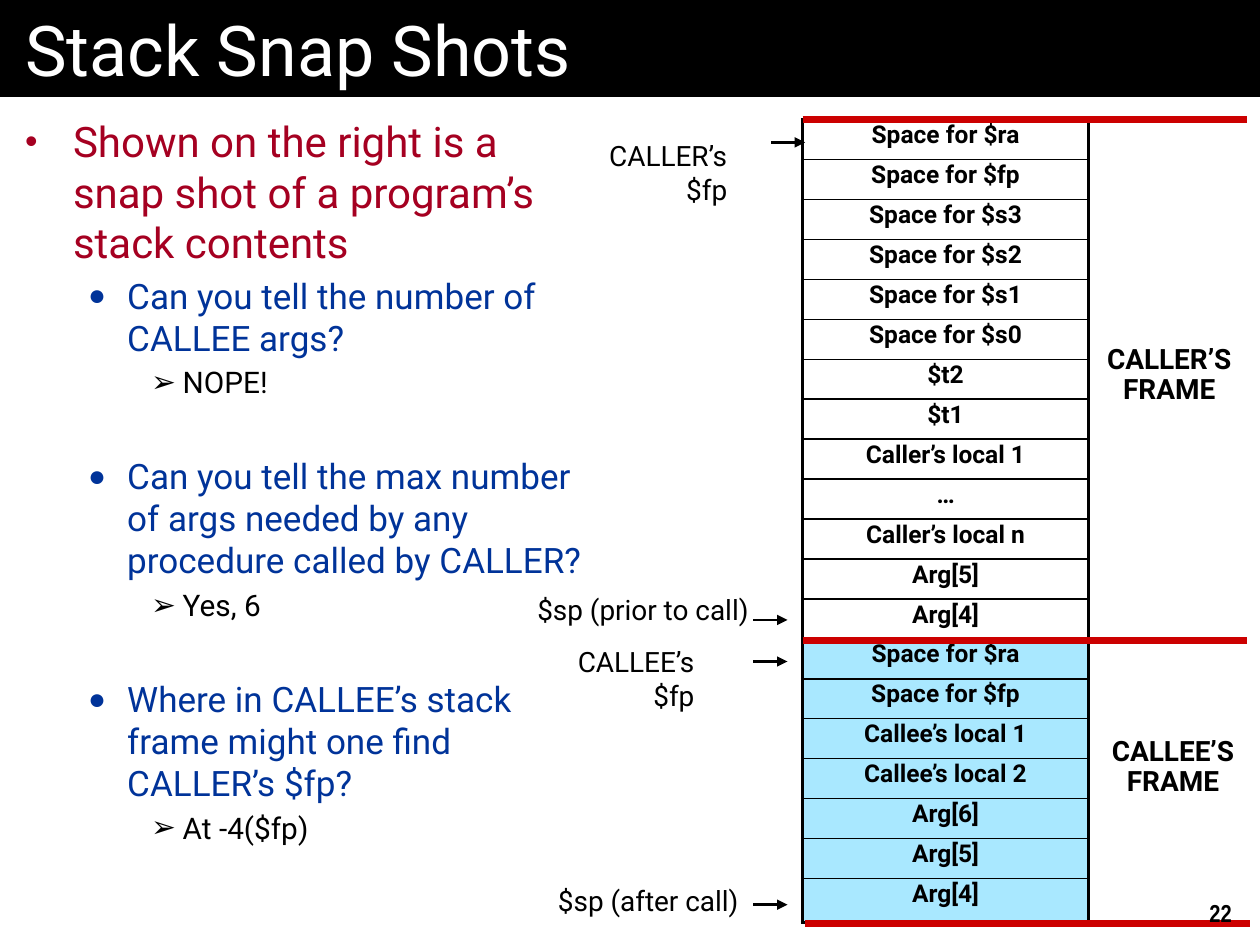
from lxml.etree import SubElement
from pptx import Presentation
from pptx.dml.color import RGBColor
from pptx.enum.shapes import MSO_CONNECTOR, MSO_SHAPE
from pptx.enum.text import MSO_ANCHOR, PP_ALIGN
from pptx.oxml.ns import qn
from pptx.util import Inches, Pt

COLORS = {
    "black": "000000",
    "white": "FFFFFF",
    "point": "A50021",
    "question": "003399",
    "callee": "A9E8FF",
    "divider": "CC0000",
}


class StackSlide:
    """Styled slide measured on a grid of 100 columns by 75 rows."""

    levels = [
        dict(size=24, color="point", left=0.38, hang=0.38, bullet="•", scale=85, gap=5),
        dict(size=20, color="question", left=0.81, hang=0.31, bullet="●", scale=85, gap=4),
        dict(size=17, color="black", left=1.25, hang=0.25, bullet="➢", scale=100, gap=3.4),
    ]

    def __init__(self, deck):
        self.column = deck.slide_width / 100
        self.row = deck.slide_height / 75
        self.slide = deck.slides.add_slide(deck.slide_layouts[6])

    def box(self, left, top, width, height):
        return (round(left * self.column), round(top * self.row),
                round(width * self.column), round(height * self.row))

    def color(self, name):
        return RGBColor.from_string(COLORS[name])

    def style(self, paragraph, size, color="black", bold=False, face="Roboto"):
        font = paragraph.font
        font.name, font.size, font.bold = face, Pt(size), bold
        font.color.rgb = self.color(color)

    def fill_text(self, frame, lines, size, align=PP_ALIGN.LEFT, spacing=None, **look):
        frame.word_wrap = True
        for index, line in enumerate(lines):
            paragraph = frame.add_paragraph() if index else frame.paragraphs[0]
            paragraph.text = line
            paragraph.alignment = align
            paragraph.line_spacing = spacing
            self.style(paragraph, size, **look)

    def title(self, text, *place):
        banner = self.slide.shapes.add_shape(MSO_SHAPE.RECTANGLE, *self.box(*place))
        banner.shadow.inherit = False
        banner.fill.solid()
        banner.fill.fore_color.rgb = self.color("black")
        banner.line.fill.background()
        frame = banner.text_frame
        frame.margin_left = frame.margin_right = Inches(0.2)
        frame.vertical_anchor = MSO_ANCHOR.MIDDLE
        self.fill_text(frame, [text], 40, color="white")

    def label(self, lines, *place, size=16, **look):
        textbox = self.slide.shapes.add_textbox(*self.box(*place))
        self.fill_text(textbox.text_frame, lines, size, **look)

    def outline(self, items, *place):
        frame = self.slide.shapes.add_textbox(*self.box(*place)).text_frame
        frame.word_wrap = True
        frame.margin_left = frame.margin_right = Inches(0.2)
        frame.margin_top = frame.margin_bottom = Inches(0.15)
        for index, (level, text, extra_gap) in enumerate(items):
            look = self.levels[level]
            paragraph = frame.add_paragraph() if index else frame.paragraphs[0]
            paragraph.text = text
            paragraph.level = level
            paragraph.space_before = Pt(look["gap"] + extra_gap)
            self.bullet(paragraph, look)
            self.style(paragraph, look["size"], look["color"])

    def bullet(self, paragraph, look):
        properties = paragraph._p.get_or_add_pPr()
        properties.set("marL", str(Inches(look["left"])))
        properties.set("indent", str(-Inches(look["hang"])))
        tint = SubElement(properties, qn("a:buClr"))
        SubElement(tint, qn("a:srgbClr"), val=COLORS[look["color"]])
        SubElement(properties, qn("a:buSzPct"), val=str(look["scale"] * 1000))
        SubElement(properties, qn("a:buFont"), typeface="Arial")
        SubElement(properties, qn("a:buChar"), char=look["bullet"])

    def stack(self, frames, left, top, width, row_height, last_height):
        words = [(text, fill) for fill, texts in frames for text in texts]
        count = len(words)
        place = self.box(left, top, width, row_height * (count - 1) + last_height)
        table = self.slide.shapes.add_table(count, 1, *place).table
        table.first_row = table.horz_banding = False
        for index, (text, fill) in enumerate(words):
            is_last = index == count - 1
            table.rows[index].height = round((last_height if is_last else row_height) * self.row)
            cell = table.cell(index, 0)
            cell.margin_left = cell.margin_right = cell.margin_bottom = 0
            cell.margin_top = Inches(0.01)
            self.fill_text(cell.text_frame, [text], 14, PP_ALIGN.CENTER, bold=True)
            self.borders(cell, L=2.25, R=2.25, T=1 if index else 2.25, B=2.25 if is_last else 1)
            cell.fill.solid()
            cell.fill.fore_color.rgb = self.color(fill)

    def borders(self, cell, **widths):
        properties = cell._tc.get_or_add_tcPr()
        for side, width in widths.items():
            border = SubElement(properties, qn(f"a:ln{side}"), w=str(Pt(width)))
            paint = SubElement(border, qn("a:solidFill"))
            SubElement(paint, qn("a:srgbClr"), val=COLORS["black"])

    def line(self, left, top, width, color="black", weight=1.5, arrow=True):
        x, y, length, _ = self.box(left, top, width, 0)
        rule = self.slide.shapes.add_connector(MSO_CONNECTOR.STRAIGHT, x, y, x + length, y)
        rule.line.width = Pt(weight)
        rule.line.color.rgb = self.color(color)
        properties = rule._element.spPr
        if arrow:
            SubElement(properties.find(qn("a:ln")), qn("a:tailEnd"), type="triangle")
        SubElement(properties, qn("a:effectLst"))


def main():
    deck = Presentation()
    deck.slide_width, deck.slide_height = Inches(10), Inches(7.5)
    page = StackSlide(deck)
    page.title("Stack Snap Shots", 0, 0, 100, 7.7)

    question_gap = 27.5
    page.outline([
        (0, "Shown on the right is a snap shot of a program’s stack contents", 0),
        (1, "Can you tell the number of CALLEE args?", 0),
        (2, "NOPE!", 0),
        (1, "Can you tell the max number of args needed by any procedure called by CALLER?",
         question_gap),
        (2, "Yes, 6", 0),
        (1, "Where in CALLEE’s stack frame might one find CALLER’s $fp?", question_gap),
        (2, "At -4($fp)", 0),
    ], 0, 7.7, 49.2, 67.3)

    saved = ["Space for $ra", "Space for $fp"]
    caller = saved + [f"Space for $s{number}" for number in (3, 2, 1, 0)] + [
        "$t2", "$t1", "Caller’s local 1", "…", "Caller’s local n", "Arg[5]", "Arg[4]"]
    callee = saved + ["Callee’s local 1", "Callee’s local 2", "Arg[6]", "Arg[5]", "Arg[4]"]
    page.stack([("white", caller), ("callee", callee)], 63.7, 9.5, 22.7, 3.17, 3.5)

    for left, top in ((63.7, 50.8), (63.7, 9.5), (63.9, 73.3)):
        page.line(left, top, 35.3, "divider", 4, arrow=False)

    for owner, left, top in (("CALLER’S", 86.5, 26.9), ("CALLEE’S", 86.8, 58)):
        page.label([owner, "FRAME"], left, top, 12.6, 5.9,
                   align=PP_ALIGN.CENTER, spacing=0.9, bold=True)

    pointers = [
        ("$sp (after call)", 43.1, 69.6, 16.5, 59.8, 71.8),
        ("$sp (prior to call)", 41.3, 46.5, 19.1, 59.8, 49.2),
        ("CALLER’s $fp", 45.7, 10.5, 13, 61.2, 11.3),
        ("CALLEE’s $fp", 43.1, 50.7, 13, 59.8, 52.5),
    ]
    for name, left, top, width, arrow_left, arrow_top in pointers:
        page.label([name], left, top, width, 3.7, align=PP_ALIGN.RIGHT)
        page.line(arrow_left, arrow_top, 2.7)

    page.label(["22"], 95, 70.8, 4.2, 3.3, size=14, bold=True, face="Arial Narrow")
    deck.save("out.pptx")


if __name__ == "__main__":
    main()
